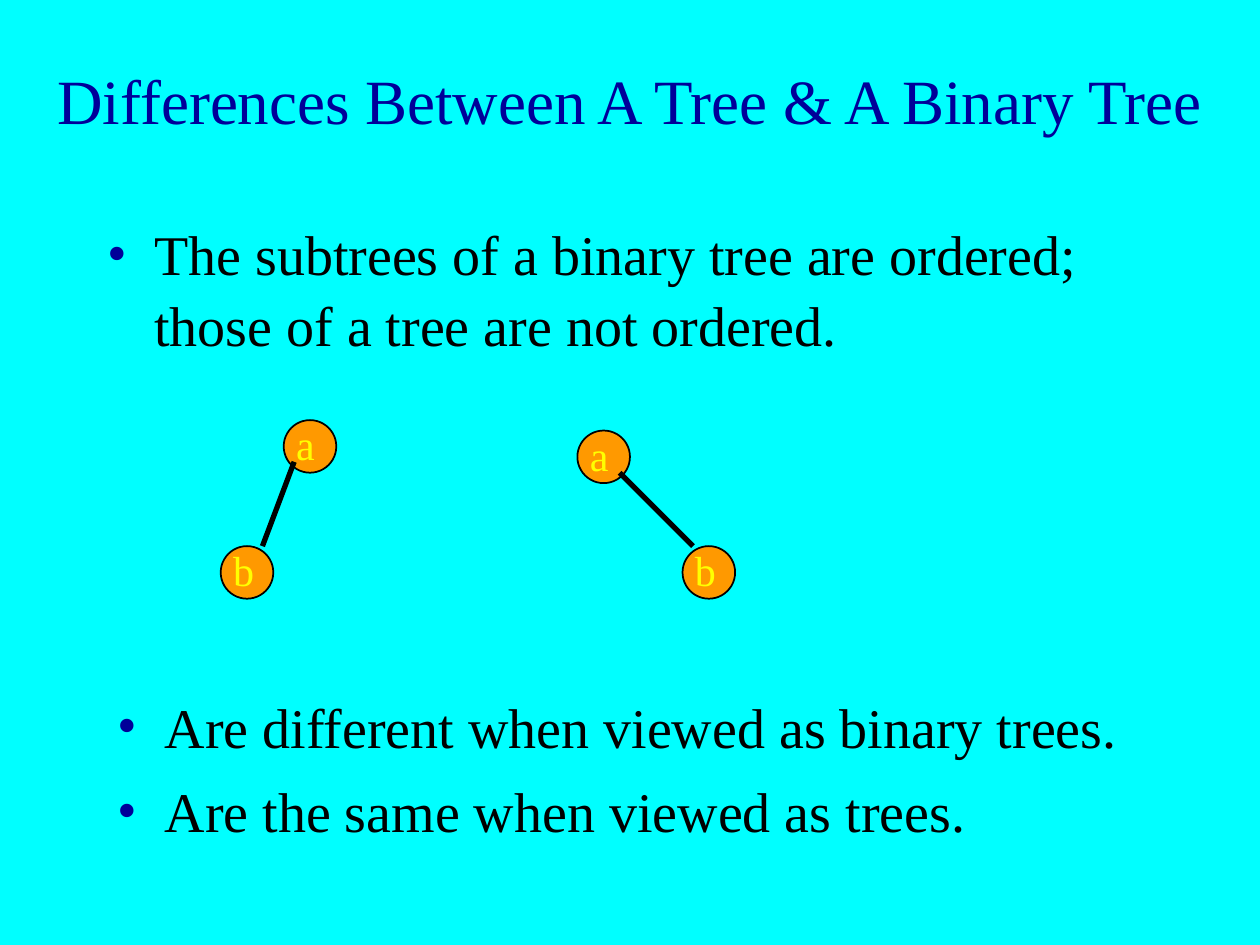
import pptx
import pptx.util
import pptx.dml.color
import pptx.enum.shapes
import pptx.enum.text
import pptx.oxml.ns
from lxml import etree

Cm = pptx.util.Cm
Pt = pptx.util.Pt
ALIGN = pptx.enum.text.PP_ALIGN
ANCHOR = pptx.enum.text.MSO_ANCHOR
COLORS = {
    "background": "00FFFF",
    "title": "000099",
    "text": "000000",
    "node": "FF9900",
    "label": "FFFF00",
}
NODE_SIZE = 1.06
LABEL_RISE = 0.21
TREES = [
    {"nodes": {"a": (5.72, 8.47), "b": (4.45, 11.01)},
     "edge": (5.93, 9.31, 5.29, 11.01)},
    {"nodes": {"a": (11.64, 8.68), "b": (13.76, 11.01)},
     "edge": (12.49, 9.53, 13.97, 11.01)},
]


def rgb(name):
    return pptx.dml.color.RGBColor.from_string(COLORS[name])


def set_attrs(obj, values):
    for name, value in values.items():
        setattr(obj, name, value)


def place(sp, left, top, width, height):
    set_attrs(sp, {"left": Cm(left), "top": Cm(top),
                   "width": Cm(width), "height": Cm(height)})


def format_frame(tf, anchor=ANCHOR.TOP, wrap=True):
    set_attrs(tf, {
        "word_wrap": wrap, "vertical_anchor": anchor,
        "auto_size": pptx.enum.text.MSO_AUTO_SIZE.NONE,
        "margin_left": Cm(0.25), "margin_right": Cm(0.25),
        "margin_top": Cm(0.13), "margin_bottom": Cm(0.13),
    })


def write(p, text, size, color, align=ALIGN.LEFT, before=0, spacing=1.05):
    r = p.add_run()
    r.text = text
    set_attrs(p, {"alignment": align, "space_before": Pt(before),
                  "space_after": Pt(0), "line_spacing": spacing})
    set_attrs(r.font, {"name": "Times New Roman", "size": Pt(size), "bold": False})
    r.font.color.rgb = rgb(color)


def add_bullet(p):
    qn = pptx.oxml.ns.qn
    pPr = p._p.get_or_add_pPr()
    pPr.set("marL", str(Cm(0.95)))
    pPr.set("indent", str(Cm(-0.95)))
    clr = etree.SubElement(pPr, qn("a:buClr"))
    etree.SubElement(clr, qn("a:srgbClr"), val=COLORS["title"])
    etree.SubElement(pPr, qn("a:buFont"), typeface="Times New Roman")
    etree.SubElement(pPr, qn("a:buChar"), char="•")


def fill_title(sp, text):
    place(sp, 0, 0.42, 25.4, 3.18)
    format_frame(sp.text_frame, ANCHOR.MIDDLE)
    write(sp.text_frame.paragraphs[0], text, 36, "title", ALIGN.CENTER, spacing=1.0)


def fill_list(sp, left, top, items):
    place(sp, left, top, 21.59, 3.39)
    tf = sp.text_frame
    format_frame(tf)
    for i, item in enumerate(items):
        p = tf.add_paragraph() if i else tf.paragraphs[0]
        add_bullet(p)
        write(p, item, 32, "text", before=8 if i else 0)


def add_node(shapes, left, top):
    sp = shapes.add_shape(pptx.enum.shapes.MSO_SHAPE.OVAL, Cm(left), Cm(top),
                          Cm(NODE_SIZE), Cm(NODE_SIZE))
    sp.shadow.inherit = False
    sp.fill.solid()
    sp.fill.fore_color.rgb = rgb("node")
    sp.line.color.rgb = rgb("text")
    sp.line.width = Pt(1)


def add_edge(shapes, points):
    line = shapes.add_connector(pptx.enum.shapes.MSO_CONNECTOR.STRAIGHT,
                                *[Cm(v) for v in points])
    line.line.color.rgb = rgb("text")
    line.line.width = Pt(3)
    etree.SubElement(line._element.spPr, pptx.oxml.ns.qn("a:effectLst"))


def add_label(shapes, text, left, top):
    sp = shapes.add_textbox(Cm(left), Cm(top - LABEL_RISE), Cm(0.85), Cm(1.27))
    format_frame(sp.text_frame, wrap=False)
    write(sp.text_frame.paragraphs[0], text, 24, "label")


def add_tree(s, tree):
    shapes = s.shapes.add_group_shape().shapes
    for position in tree["nodes"].values():
        add_node(shapes, *position)
    add_edge(shapes, tree["edge"])
    for text, position in tree["nodes"].items():
        add_label(shapes, text, *position)


def main():
    prs = pptx.Presentation()
    set_attrs(prs, {"slide_width": Cm(25.4), "slide_height": Cm(19.05)})
    s = prs.slides.add_slide(prs.slide_layouts[1])
    s.background.fill.solid()
    s.background.fill.fore_color.rgb = rgb("background")
    fill_title(s.shapes.title, "Differences Between A Tree & A Binary Tree")
    fill_list(s.placeholders[1], 1.91, 4.23, [
        "The subtrees of a binary tree are ordered; those of a tree are not ordered.",
    ])
    for tree in TREES:
        add_tree(s, tree)
    fill_list(s.shapes.add_textbox(0, 0, 0, 0), 2.12, 13.76, [
        "Are different when viewed as binary trees.",
        "Are the same when viewed as trees.",
    ])
    prs.save("out.pptx")


if __name__ == "__main__":
    main()
